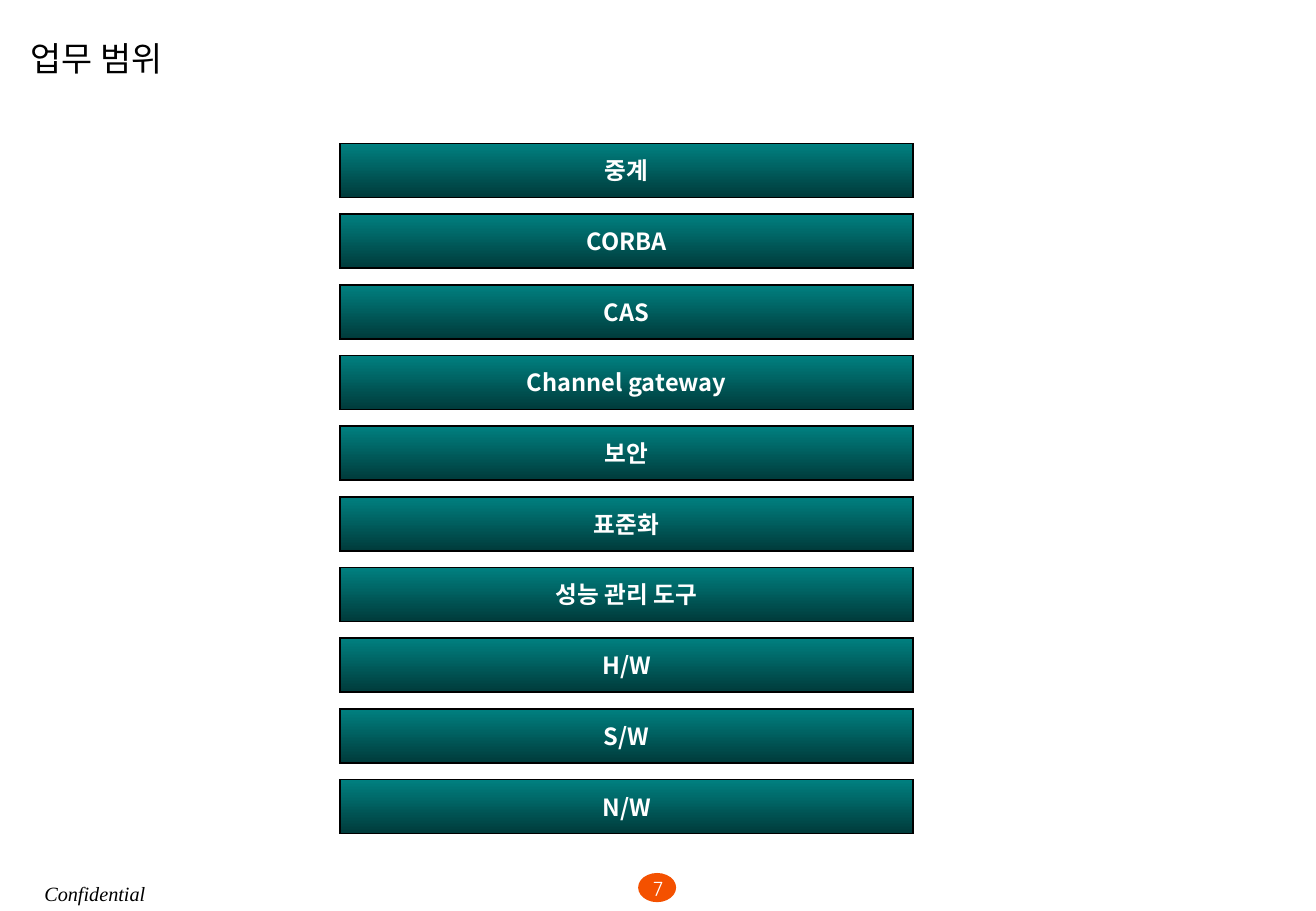
from lxml.etree import SubElement
from pptx import Presentation
from pptx.dml.color import RGBColor
from pptx.enum.shapes import MSO_SHAPE as Shape
from pptx.enum.text import MSO_ANCHOR as Anchor, MSO_AUTO_SIZE as Auto, PP_ALIGN as Align
from pptx.oxml.ns import qn
from pptx.util import Pt

TITLE = "업무 범위"
SCOPE = ["중계", "CORBA", "CAS", "Channel gateway", "보안", "표준화",
         "성능 관리 도구", "H/W", "S/W", "N/W"]
MARK = "Confidential"
PAGE = "7"

BLACK = RGBColor(0x00, 0x00, 0x00)
WHITE = RGBColor(0xFF, 0xFF, 0xFF)
TEAL = RGBColor(0x00, 0x80, 0x80)
DEEP = RGBColor(0x00, 0x3B, 0x3B)
ORANGE = RGBColor(0xF4, 0x51, 0x00)

KOREAN = "Noto Sans CJK KR"
LEFT, TOP, WIDTH, HEIGHT, PITCH = 201.6, 85, 339.8, 32, 41.9


def place(box):
    return [Pt(n) for n in box]


def write(shape, text, size, face, color, align=Align.LEFT, anchor=Anchor.TOP,
          wrap=True, bold=False, italic=False):
    frame = shape.text_frame
    frame.text = text
    frame.word_wrap = wrap
    frame.auto_size = Auto.NONE
    frame.vertical_anchor = anchor
    para = frame.paragraphs[0]
    para.alignment = align
    font = para.runs[0].font
    font.size, font.name = Pt(size), face
    font.bold, font.italic = bold, italic
    font.color.rgb = color
    SubElement(font._element, qn("a:ea")).set("typeface", face)


def draw_bar(slide, row, text):
    bar = slide.shapes.add_shape(
        Shape.RECTANGLE, *place((LEFT, TOP + row * PITCH, WIDTH, HEIGHT)))
    bar.shadow.inherit = False
    bar.fill.gradient()
    bar.fill.gradient_angle = 270
    for stop, color in zip(bar.fill.gradient_stops, (TEAL, DEEP)):
        stop.color.rgb = color
    bar.line.color.rgb = BLACK
    bar.line.width = Pt(1)
    edge = bar._element.spPr.find(qn("a:ln"))
    SubElement(edge, qn("a:miter")).set("lim", "800000")
    write(bar, text, 14, KOREAN, WHITE, Align.CENTER, Anchor.MIDDLE,
          wrap=False, bold=True)


def draw_foot(slide):
    dot = slide.shapes.add_shape(Shape.OVAL, *place((378.3, 517.5, 22.5, 17.3)))
    dot.shadow.inherit = False
    dot.fill.solid()
    dot.fill.fore_color.rgb = ORANGE
    dot.line.fill.background()
    page = slide.shapes.add_textbox(*place((361.5, 515.8, 56.9, 23)))
    write(page, PAGE, 12, "Quicksand", WHITE, Align.CENTER)
    mark = slide.shapes.add_textbox(*place((19.2, 518.6, 87.8, 21.6)))
    write(mark, MARK, 12, "Times New Roman", BLACK, italic=True)


def main():
    deck = Presentation()
    deck.slide_width, deck.slide_height = Pt(780.13), Pt(540)
    slide = deck.slides.add_slide(deck.slide_layouts[5])
    draw_foot(slide)
    title = slide.shapes.title
    title.left, title.top, title.width, title.height = place((11.1, 16.6, 599, 35.3))
    write(title, TITLE, 20, KOREAN, BLACK, anchor=Anchor.MIDDLE)
    for row, text in enumerate(SCOPE):
        draw_bar(slide, row, text)
    deck.save("out.pptx")


if __name__ == "__main__":
    main()
